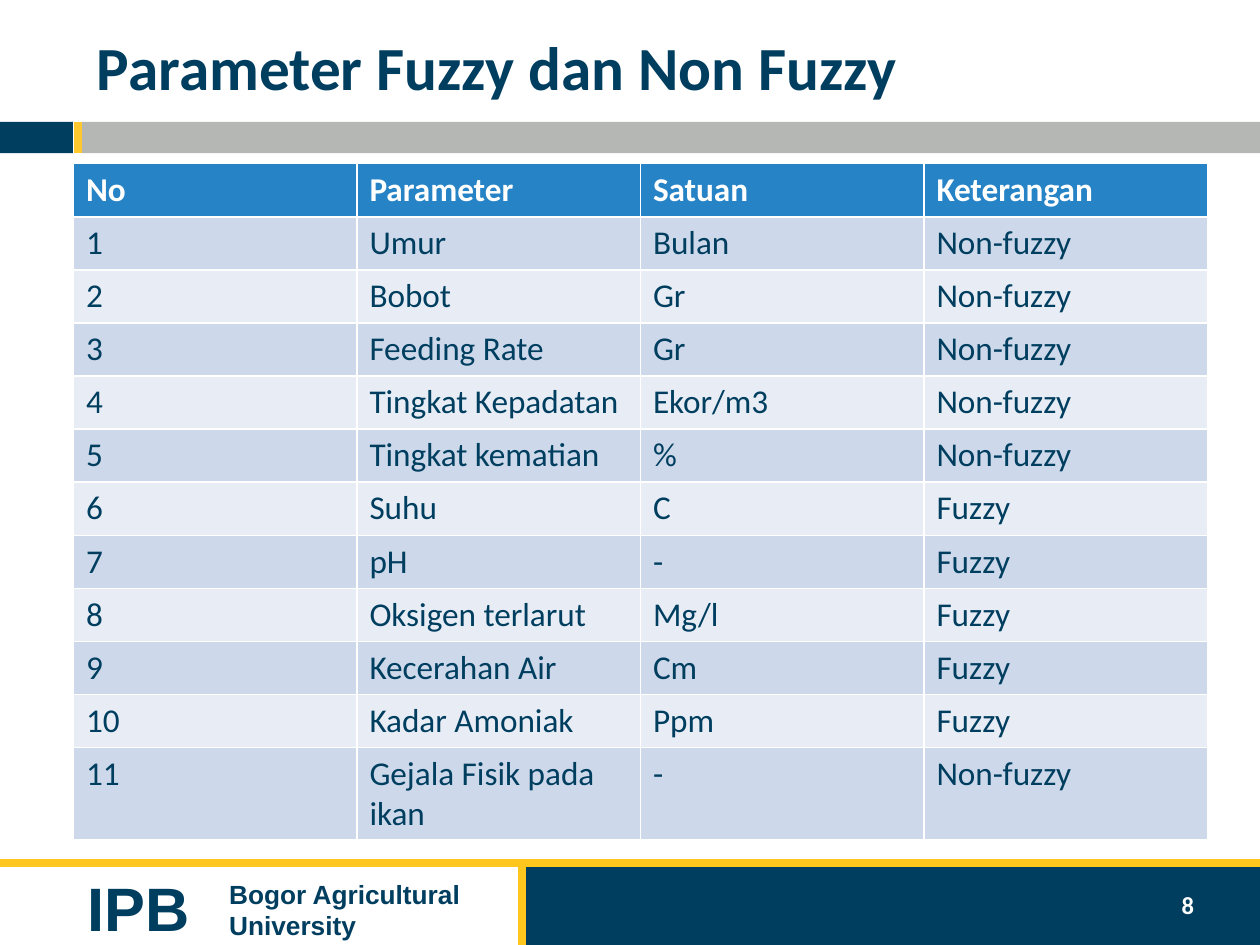
from pptx import Presentation
from pptx.dml.color import RGBColor
from pptx.enum.shapes import MSO_CONNECTOR, MSO_SHAPE
from pptx.enum.text import MSO_ANCHOR, MSO_AUTO_SIZE, PP_ALIGN
from pptx.oxml.ns import qn
from pptx.util import Cm, Pt
from lxml import etree

RECT = MSO_SHAPE.RECTANGLE
LINE = MSO_CONNECTOR.STRAIGHT
MIDDLE = MSO_ANCHOR.MIDDLE
LEFT = PP_ALIGN.LEFT
FIXED = MSO_AUTO_SIZE.NONE

HUES = {
    "navy": "003E60", "gray": "B5B7B4", "white": "FFFFFF",
    "gold": "FFC61E", "amber": "FFC82E",
    "head": "2683C6", "dark": "CDD9EA", "light": "E8EDF5",
}


def color(name):
    return RGBColor.from_string(HUES[name])


def style(para, face, size, hue, bold):
    para.alignment = LEFT
    font = para.font
    font.name = face
    font.size = Pt(size)
    font.bold = bold
    font.color.rgb = color(hue)


deck = Presentation()
deck.slide_width = Cm(25.4)
deck.slide_height = Cm(19.05)
slide = deck.slides.add_slide(deck.slide_layouts[5])
shapes = slide.shapes

bars = [
    (0, 2.46, 1.47, 0.63, "navy"),
    (1.65, 2.46, 23.75, 0.63, "gray"),
    (0, 17.3, 25.4, 1.68, "white"),
    (10.46, 17.37, 14.94, 1.68, "navy"),
    (0, 17.53, 10.44, 1.52, "white"),
]
for left, top, width, height, hue in bars:
    bar = shapes.add_shape(RECT, Cm(left), Cm(top), Cm(width), Cm(height))
    bar.shadow.inherit = False
    bar.fill.solid()
    bar.fill.fore_color.rgb = color(hue)
    bar.line.fill.background()

rules = [
    (0, 17.4, 25.4, 17.4, "gold"),
    (10.53, 17.42, 10.53, 19.05, "gold"),
    (1.57, 2.45, 1.57, 3.08, "amber"),
]
for left, top, right, base, hue in rules:
    rule = shapes.add_connector(LINE, Cm(left), Cm(top), Cm(right), Cm(base))
    rule.line.color.rgb = color(hue)
    rule.line.width = Pt(4.5)
    etree.SubElement(rule._element.spPr, qn("a:effectLst"))

labels = [
    (23.57, 17.81, 1.12, 0.86, "8", "Calibri", 14, "white"),
    (1.52, 17.42, 2.87, 1.63, "IPB", "Arial", 35, "navy"),
    (4.37, 17.58, 6.32, 1.4, "Bogor Agricultural University", "Arial", 15, "navy"),
]
for left, top, width, height, text, face, size, hue in labels:
    box = shapes.add_textbox(Cm(left), Cm(top), Cm(width), Cm(height))
    box.text_frame.word_wrap = True
    box.text_frame.text = text
    style(box.text_frame.paragraphs[0], face, size, hue, True)

title = shapes.title
title.left, title.top = Cm(1.7), Cm(0.33)
title.width, title.height = Cm(22.66), Cm(2.01)
frame = title.text_frame
frame.text = "Parameter Fuzzy dan Non Fuzzy"
frame.auto_size = FIXED
frame.vertical_anchor = MIDDLE
style(frame.paragraphs[0], "Calibri", 35, "navy", True)

rows = [
    ("No", "Parameter", "Satuan", "Keterangan"),
    ("1", "Umur", "Bulan", "Non-fuzzy"),
    ("2", "Bobot", "Gr", "Non-fuzzy"),
    ("3", "Feeding Rate", "Gr", "Non-fuzzy"),
    ("4", "Tingkat Kepadatan", "Ekor/m3", "Non-fuzzy"),
    ("5", "Tingkat kematian", "%", "Non-fuzzy"),
    ("6", "Suhu", "C", "Fuzzy"),
    ("7", "pH", "-", "Fuzzy"),
    ("8", "Oksigen terlarut", "Mg/l", "Fuzzy"),
    ("9", "Kecerahan Air", "Cm", "Fuzzy"),
    ("10", "Kadar Amoniak", "Ppm", "Fuzzy"),
    ("11", "Gejala Fisik pada ikan", "-", "Non-fuzzy"),
]
table = shapes.add_table(
    len(rows), 4, Cm(1.48), Cm(3.3), Cm(22.86), Cm(12.84)
).table
for y, row in enumerate(rows):
    table.rows[y].height = Cm(1.07)
    head = y == 0
    band = "head" if head else ("light", "dark")[y % 2]
    for x, text in enumerate(row):
        cell = table.cell(y, x)
        cell.text = text
        cell.fill.solid()
        cell.fill.fore_color.rgb = color(band)
        style(cell.text_frame.paragraphs[0], "Calibri", 19,
              "white" if head else "navy", head)
table.rows[len(rows) - 1].height = Cm(1.86)

deck.save("out.pptx")
